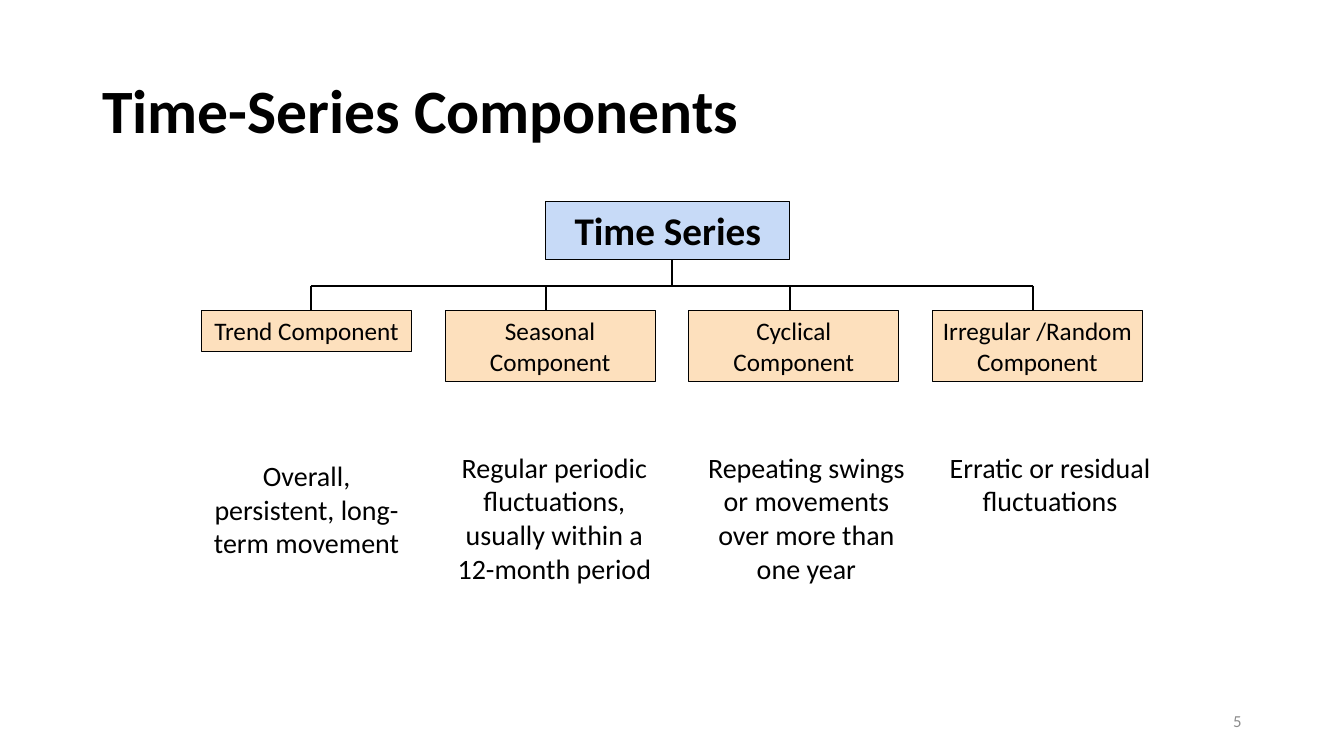
import dataclasses

import pptx
import pptx.dml.color
import pptx.enum.shapes
import pptx.enum.text
import pptx.oxml
import pptx.oxml.ns
import pptx.util

Pt = pptx.util.Pt
Align = pptx.enum.text.PP_ALIGN
Anchor = pptx.enum.text.MSO_ANCHOR


@dataclasses.dataclass(frozen=True)
class Theme:
    font: str = "Calibri"
    ink: str = "000000"
    muted: str = "8C8C8C"
    root_fill: str = "C7DAF7"
    component_fill: str = "FDE0BD"
    title_size: float = 44
    root_size: float = 28
    component_size: float = 18
    description_size: float = 20
    number_size: float = 12
    box_line: float = 0.75
    branch_line: float = 1.5


@dataclasses.dataclass(frozen=True)
class Component:
    name: str
    height: float
    branch: float
    description: str
    description_box: tuple


THEME = Theme()
COMPONENTS = [
    Component("Trend Component", 29, 78,
              "Overall, persistent, long-term movement", (-6, 180, 162, 79)),
    Component("Seasonal Component", 50.5, 246,
              "Regular periodic fluctuations, usually within a 12-month period",
              (168, 174, 168, 104)),
    Component("Cyclical Component", 50.5, 420,
              "Repeating swings or movements over more than one year",
              (348, 174, 168, 104)),
    Component("Irregular /Random Component", 50.5, 594,
              "Erratic or residual fluctuations", (522, 174, 168, 55)),
]


def color(value):
    return pptx.dml.color.RGBColor.from_string(value)


def write(shape, text, size, align=Align.CENTER, anchor=Anchor.TOP,
          bold=False, ink=THEME.ink):
    frame = shape.text_frame
    frame.word_wrap = True
    frame.vertical_anchor = anchor
    paragraph = frame.paragraphs[0]
    paragraph.alignment = align
    run = paragraph.add_run()
    run.text = text
    run.font.name = THEME.font
    run.font.size = Pt(size)
    run.font.bold = bold
    run.font.color.rgb = color(ink)
    return paragraph


def add_text(slide, box, text, size, **style):
    shape = slide.shapes.add_textbox(*map(Pt, box))
    return write(shape, text, size, **style)


def add_box(slide, box, fill, text, size, bold=False):
    shape = slide.shapes.add_shape(
        pptx.enum.shapes.MSO_SHAPE.RECTANGLE, *map(Pt, box))
    shape.shadow.inherit = False
    shape.fill.solid()
    shape.fill.fore_color.rgb = color(fill)
    shape.line.color.rgb = color(THEME.ink)
    shape.line.width = Pt(THEME.box_line)
    write(shape, text, size, bold=bold)


def add_line(slide, *ends):
    connector = slide.shapes.add_connector(
        pptx.enum.shapes.MSO_CONNECTOR.STRAIGHT, *map(Pt, ends))
    connector.line.color.rgb = color(THEME.ink)
    connector.line.width = Pt(THEME.branch_line)
    properties = connector._element.find(pptx.oxml.ns.qn("p:spPr"))
    properties.append(pptx.oxml.parse_xml(
        "<a:effectLst %s/>" % pptx.oxml.ns.nsdecls("a")))


def add_title(slide, box):
    paragraph = add_text(slide, box, "Time-Series Components", THEME.title_size,
                         align=Align.LEFT, anchor=Anchor.MIDDLE, bold=True)
    paragraph.line_spacing = 0.9


def add_tree(slide, box):
    left, top, width, height = box
    bar, row = top + 60, top + 78
    component_width = 150
    pitch = (width - component_width) / (len(COMPONENTS) - 1)
    add_box(slide, (left + 246, top, 174, 41.5), THEME.root_fill,
            "Time Series", THEME.root_size, bold=True)
    for index, component in enumerate(COMPONENTS):
        add_box(slide,
                (left + index * pitch, row, component_width, component.height),
                THEME.component_fill, component.name, THEME.component_size)
        branch = left + component.branch
        add_line(slide, branch, bar, branch, row)
    stem = left + width / 2
    add_line(slide, stem, top + 42, stem, bar)
    add_line(slide, left + COMPONENTS[0].branch, bar,
             left + COMPONENTS[-1].branch, bar)


def add_descriptions(slide, box):
    left, top, width, height = box
    for component in COMPONENTS:
        x, y, text_width, text_height = component.description_box
        add_text(slide, (left + x, top + y, text_width, text_height),
                 component.description, THEME.description_size)


def add_slide_number(slide, box):
    add_text(slide, box, "5", THEME.number_size, align=Align.RIGHT,
             anchor=Anchor.MIDDLE, ink=THEME.muted)


def main():
    presentation = pptx.Presentation()
    presentation.slide_width = Pt(960)
    presentation.slide_height = Pt(540)
    slide = presentation.slides.add_slide(presentation.slide_layouts[6])
    tree = (144, 144, 672, 278)
    add_title(slide, (66, 28.75, 828, 104.4))
    add_tree(slide, tree)
    add_descriptions(slide, tree)
    add_slide_number(slide, (678, 500.5, 216, 28.75))
    presentation.save("out.pptx")


if __name__ == "__main__":
    main()
